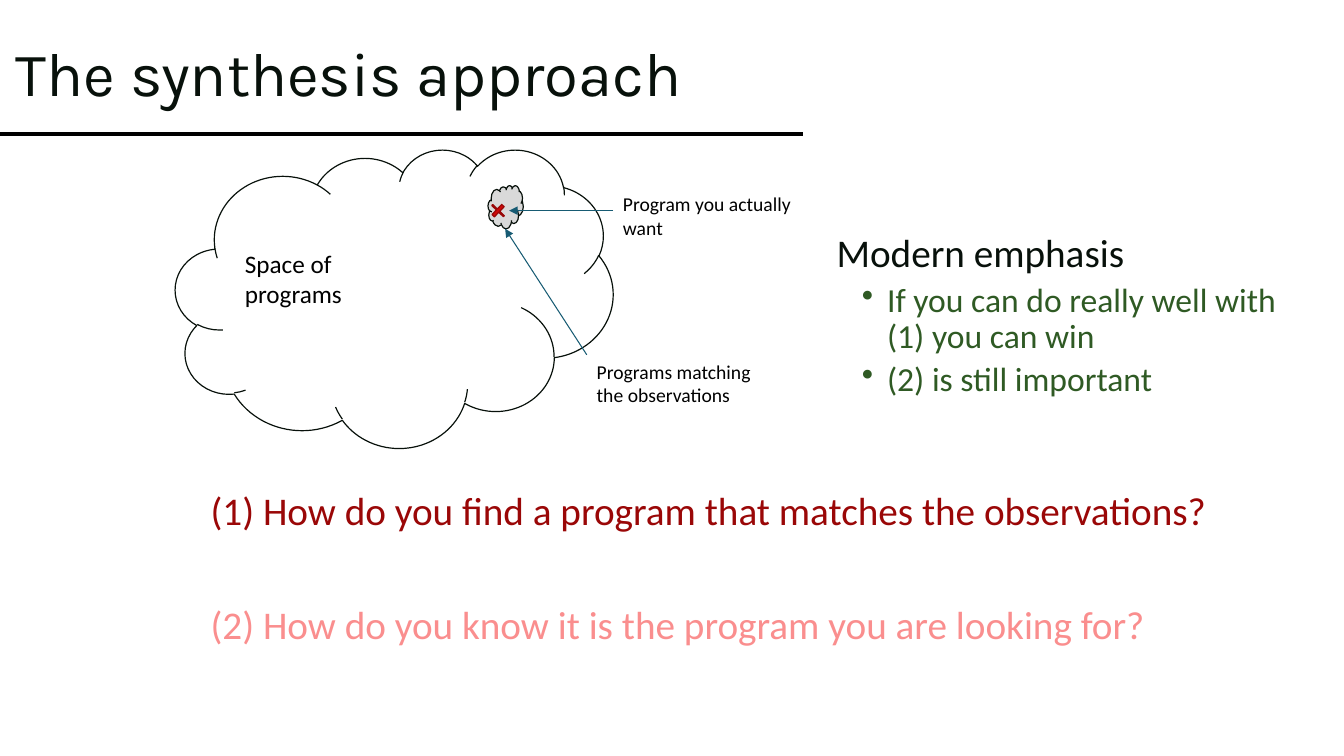
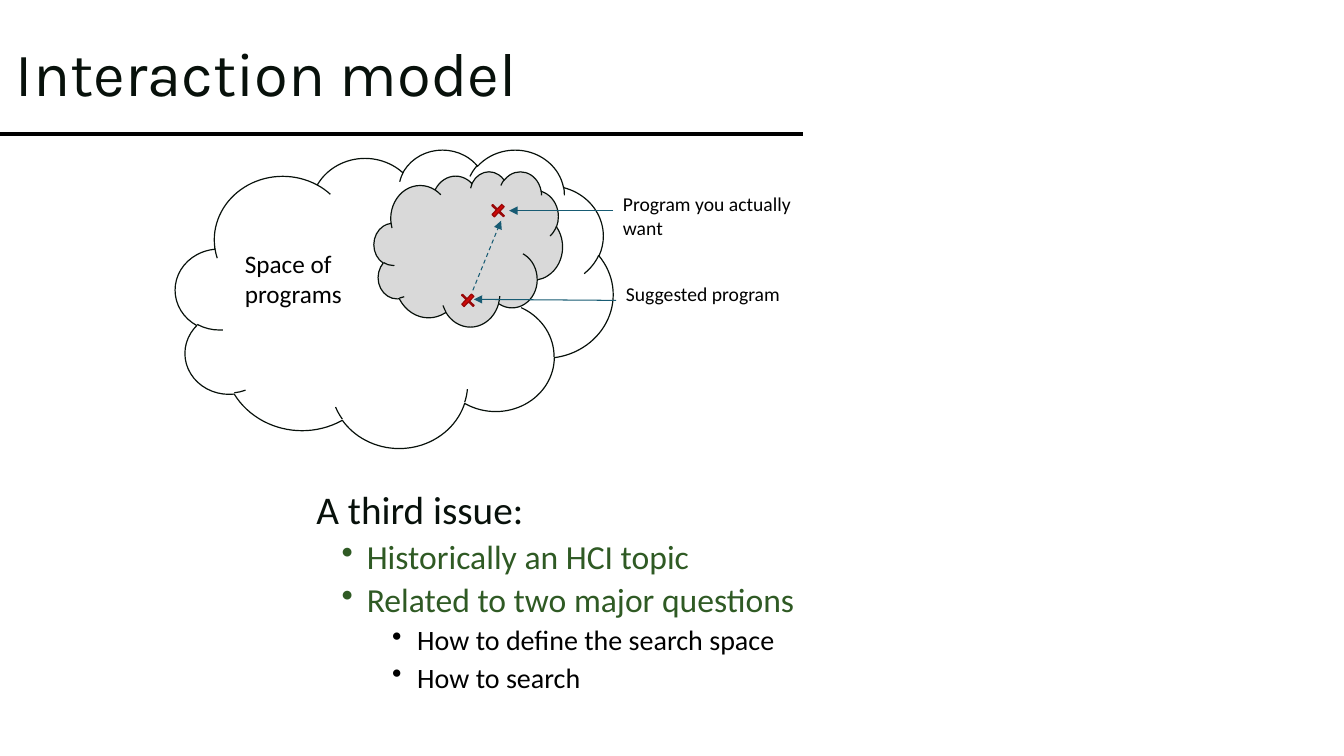
from dataclasses import dataclass

from pptx import Presentation
from pptx import util as u
from pptx.dml.color import RGBColor
from pptx.enum import dml, shapes, text
from pptx.oxml.ns import qn
from lxml import etree

Inches = u.Inches


@dataclass(frozen=True)
class Theme:
    ink: str = "08110B"
    black: str = "000000"
    paper: str = "FFFFFF"
    region: str = "D9D9D9"
    cross: str = "CD0909"
    cross_edge: str = "980707"
    arrow: str = "175B73"
    point: str = "2F5A24"
    question: str = "9A0707"
    faded: str = "FA8E8E"
    title_font: str = "Karla"
    body_font: str = "Calibri"
    title_size: float = 44
    level_sizes: tuple = (28, 24, 20)
    space_size: float = 18
    label_size: float = 14
    outline: float = 0.85
    arrow_width: float = 0.75
    rule_width: float = 2.25


THEME = Theme()
LEVEL_COLOURS = (THEME.ink, THEME.point, THEME.black)
LEVEL_MARGINS = (0.25, 0.75, 1.25)
BULLET_HANG = 0.25
BODY_LEADING = 0.9
CLOUD_BOX = (1.74, 1.48, 4.34, 2.96)
CROSS_SIZE = (0.16, 0.14)


def colour(code):
    return RGBColor.from_string(code)


def style(para, font, size, code):
    for span in para.runs:
        span.font.name = font
        span.font.size = u.Pt(size)
        span.font.color.rgb = colour(code)


def add_text_frame(page, box):
    frame = page.shapes.add_textbox(*map(Inches, box)).text_frame
    frame.word_wrap = True
    return frame


def add_label(page, box, words, size=THEME.label_size):
    frame = add_text_frame(page, box)
    frame.text = words
    style(frame.paragraphs[0], THEME.body_font, size, THEME.black)


def add_line(page, start, end, code, width):
    line = page.shapes.add_connector(
        shapes.MSO_CONNECTOR.STRAIGHT, *map(Inches, (*start, *end)))
    line.line.color.rgb = colour(code)
    line.line.width = u.Pt(width)
    etree.SubElement(line._element.spPr, qn("a:effectLst"))
    return line


def add_arrow(page, start, end, dashed=False):
    arrow = add_line(page, start, end, THEME.arrow, THEME.arrow_width)
    if dashed:
        arrow.line.dash_style = dml.MSO_LINE.DASH
    etree.SubElement(arrow.line._get_or_add_ln(), qn("a:tailEnd"), type="triangle")


def add_preset(page, kind, box, fill, edge):
    shape = page.shapes.add_shape(kind, *map(Inches, box))
    shape.shadow.inherit = False
    shape.fill.solid()
    shape.fill.fore_color.rgb = colour(fill)
    shape.line.color.rgb = colour(edge)
    shape.line.width = u.Pt(THEME.outline)
    return shape


def add_cloud(page, box, fill):
    add_preset(page, shapes.MSO_SHAPE.CLOUD, box, fill, THEME.ink)


def add_cross(page, left, top):
    cross = add_preset(page, shapes.MSO_SHAPE.CROSS, (left, top, *CROSS_SIZE),
                       THEME.cross, THEME.cross_edge)
    cross.adjustments[0] = 0.45
    cross.rotation = 43.9


def add_title(page, box, words):
    """Write the slide title with the rule below it."""
    add_line(page, (0, 1.33), (7.96, 1.33), THEME.black, THEME.rule_width)
    frame = add_text_frame(page, box)
    frame.vertical_anchor = text.MSO_ANCHOR.MIDDLE
    frame.text = words
    para = frame.paragraphs[0]
    para.line_spacing = BODY_LEADING
    style(para, THEME.title_font, THEME.title_size, THEME.ink)


def add_body_paragraph(frame, index, words, level, code, gap):
    para = frame.add_paragraph() if index else frame.paragraphs[0]
    para.text = words
    para.level = level
    para.line_spacing = BODY_LEADING
    if index:
        para.space_before = u.Pt(gap)
    properties = para._p.get_or_add_pPr()
    properties.set("marL", str(Inches(LEVEL_MARGINS[level])))
    properties.set("indent", str(Inches(-BULLET_HANG if level else 0)))
    bullet = etree.SubElement(properties, qn("a:buChar" if level else "a:buNone"))
    if level:
        bullet.set("char", "•")
    style(para, THEME.body_font, THEME.level_sizes[level], code)


def add_outline(page, box, items):
    """Write (level, words) items, bulleted below the top level."""
    frame = add_text_frame(page, box)
    for index, (level, words) in enumerate(items):
        add_body_paragraph(frame, index, words, level, LEVEL_COLOURS[level], 5)


def add_questions(page, box, questions):
    frame = add_text_frame(page, box)
    for index, (words, code) in enumerate(questions):
        add_body_paragraph(frame, index, words, 0, code, 51)


def add_program_space(page, box, region):
    """Draw the space of programs, a matching region in it and the wanted program.

    The region is given relative to the box.
    """
    left, top, width, height = box
    add_cloud(page, box, THEME.paper)
    add_label(page, (left + 0.59, top + 0.93, 1.87, 0.71),
              "Space of programs", THEME.space_size)
    add_cloud(page, (left + region[0], top + region[1], *region[2:]), THEME.region)
    add_cross(page, left + 3.12, top + 0.54)
    right = left + width
    add_arrow(page, (right, top + 0.61), (left + 3.31, top + 0.61))
    add_label(page, (right, top + 0.38, 1.87, 0.57), "Program you actually want")


def add_matching_note(page, box):
    left, top = box[:2]
    note = (left + 4.08, top + 2.04)
    add_label(page, (*note, 1.87, 0.57), "Programs matching the observations")
    add_arrow(page, note, (left + 3.27, top + 0.79))


def add_suggestion(page, box):
    left, top = box[:2]
    add_cross(page, left + 2.82, top + 1.43)
    add_arrow(page, (left + 4.37, top + 1.5), (left + 2.96, top + 1.49))
    add_label(page, (left + 4.37, top + 1.27, 1.87, 0.34), "Suggested program")
    add_arrow(page, (left + 2.95, top + 1.4), (left + 3.23, top + 0.71), dashed=True)


def build_synthesis(page):
    add_title(page, (0.06, 0.03, 9.23, 1.45), "The synthesis approach")
    add_questions(page, (1.74, 4.83, 10.68, 1.93), (
        ("(1) How do you find a program that matches the observations?", THEME.question),
        ("(2) How do you know it is the program you are looking for?", THEME.faded),
    ))
    add_program_space(page, CLOUD_BOX, (3.1, 0.36, 0.35, 0.43))
    add_matching_note(page, CLOUD_BOX)
    add_outline(page, (7.95, 2.27, 5.23, 1.93), (
        (0, "Modern emphasis"),
        (1, "If you can do really well with (1) you can win"),
        (1, "(2) is still important"),
    ))


def build_interaction(page):
    add_title(page, (0.06, 0.03, 7.51, 1.45), "Interaction model")
    add_program_space(page, CLOUD_BOX, (1.97, 0.22, 1.87, 1.54))
    add_suggestion(page, CLOUD_BOX)
    add_outline(page, (2.79, 4.82, 7.77, 2.36), (
        (0, "A third issue:"),
        (1, "Historically an HCI topic"),
        (1, "Related to two major questions"),
        (2, "How to define the search space"),
        (2, "How to search"),
    ))


def main():
    deck = Presentation()
    deck.slide_width, deck.slide_height = Inches(13.33), Inches(7.5)
    for build in (build_synthesis, build_interaction):
        build(deck.slides.add_slide(deck.slide_layouts[6]))
    deck.save("out.pptx")


if __name__ == "__main__":
    main()
